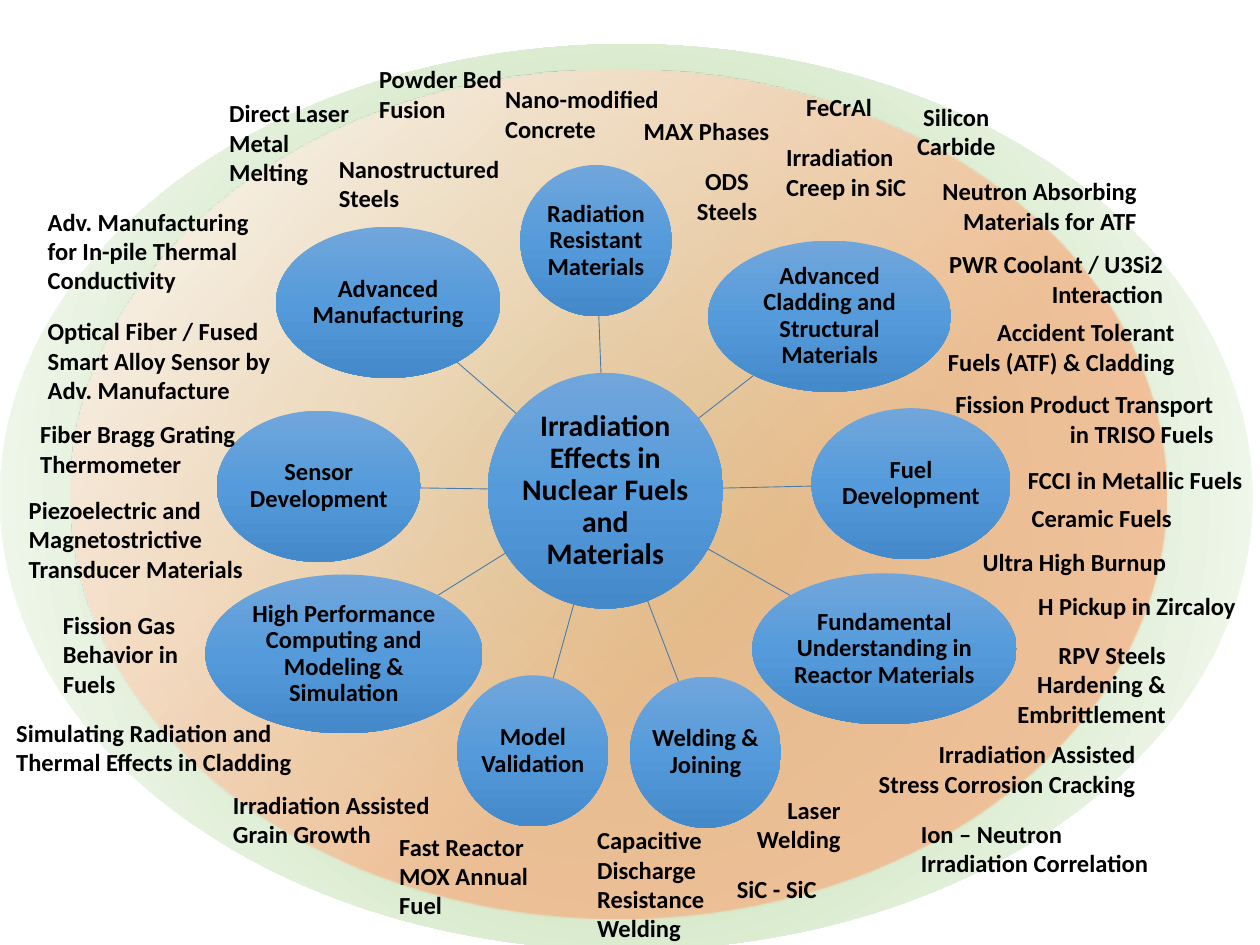
"""Build a hub-and-spoke slide of research areas with surrounding topics."""
from dataclasses import dataclass
from math import hypot

from lxml import etree
from pptx import Presentation, util as u
from pptx.dml import color
from pptx.enum import shapes, text
from pptx.oxml import ns

COLS, ROWS = 100, 75
ALIGN = {"l": text.PP_ALIGN.LEFT, "c": text.PP_ALIGN.CENTER, "r": text.PP_ALIGN.RIGHT}


@dataclass(frozen=True)
class Theme:
    """Colours, gradients and type sizes of the slide."""
    font: str = "Calibri"
    ink: str = "000000"
    spoke: str = "497CAB"
    spoke_width: float = 0.5
    hub_size: int = 17
    size: int = 14
    node: tuple = ((0, "71A6DB", 100), (50, "559BDB", 100), (100, "448ACA", 100))
    outer: tuple = ((0, "A9D18E", 100), (100, "FFFFFF", 100))
    inner: tuple = ((39, "F4B183", 73), (100, "FFFFFF", 73))


T = Theme()
SLIDE_W, SLIDE_H = u.Inches(10), u.Inches(7.5)
HUB = (38.7, 29.6, 18.7, 18.7, "Irradiation Effects in Nuclear Fuels and Materials")
NODES = [
    (64.4, 32.4, 15.8, 12, "Fuel Development"),
    (59.7, 45.5, 21, 12, "Fundamental Understanding in Reactor Materials"),
    (56.2, 19.1, 19.3, 12, "Advanced Cladding and Structural Materials"),
    (36.3, 53.6, 12, 12, "Model Validation"),
    (50, 53.7, 12, 12, "Welding & Joining"),
    (16.3, 45.6, 22, 12.6, "High Performance Computing and Modeling & Simulation"),
    (21.9, 18, 17.8, 12, "Advanced Manufacturing"),
    (17.2, 32.6, 16.2, 12, "Sensor Development"),
    (41.3, 13.1, 12, 12, "Radiation Resistant Materials"),
]
TOPICS = [
    (77, 42.9, 17.2, 1, "l", "Ultra High Burnup"),
    (74, 24.7, 20.2, 2, "r", "Accident Tolerant Fuels (ATF) & Cladding"),
    (74.7, 30.4, 22.6, 2, "r", "Fission Product Transport in TRISO Fuels"),
    (80.6, 36.4, 20.3, 1, "l", "FCCI in Metallic Fuels"),
    (80.9, 39.4, 17.3, 1, "l", "Ceramic Fuels"),
    (78.6, 50.3, 14.9, 3, "r", "RPV Steels Hardening & Embrittlement"),
    (53.2, 12.7, 9, 2, "c", "ODS Steels"),
    (50.1, 8.7, 12.1, 1, "l", "MAX Phases"),
    (71.7, 7.6, 8.4, 2, "c", "Silicon Carbide"),
    (17.5, 62.2, 20.1, 2, "l", "Irradiation Assisted Grain Growth"),
    (68.7, 58.2, 22.4, 2, "r", "Irradiation Assisted Stress Corrosion Cracking"),
    (81.4, 46.4, 18, 1, "l", "H Pickup in Zircaloy"),
    (57.5, 68.9, 8.6, 1, "l", "SiC - SiC"),
    (46.4, 65, 11.9, 4, "l", "Capacitive Discharge Resistance Welding"),
    (58.2, 62.6, 9.5, 2, "r", "Laser Welding"),
    (4, 47.9, 13.5, 3, "l", "Fission Gas Behavior in Fuels"),
    (72.1, 64.5, 21.4, 2, "l", "Ion – Neutron Irradiation Correlation"),
    (30.7, 65.5, 13.5, 3, "l", "Fast Reactor MOX Annual Fuel"),
    (0.3, 56.5, 25.1, 2, "l", "Simulating Radiation and Thermal Effects in Cladding"),
    (61.4, 10.8, 13.2, 2, "l", "Irradiation Creep in SiC"),
    (39.1, 6.2, 15.2, 2, "l", "Nano-modified Concrete"),
    (1.3, 38.8, 19.7, 3, "l", "Piezoelectric and Magnetostrictive Transducer Materials"),
    (2.2, 32.8, 17.9, 2, "l", "Fiber Bragg Grating Thermometer"),
    (2.8, 15.9, 18.8, 3, "l", "Adv. Manufacturing for In-pile Thermal Conductivity"),
    (2.8, 24.6, 20.9, 3, "l", "Optical Fiber / Fused Smart Alloy Sensor by Adv. Manufacture"),
    (25.9, 11.7, 14.8, 2, "l", "Nanostructured Steels"),
    (29.1, 4.6, 11.8, 2, "l", "Powder Bed Fusion"),
    (17.2, 7.3, 13.2, 3, "l", "Direct Laser Metal Melting"),
    (63, 6.8, 7.3, 1, "l", "FeCrAl"),
    (73.9, 19.3, 19.4, 2, "r", "PWR Coolant / U3Si2 Interaction"),
    (72.8, 13.5, 18.4, 2, "r", "Neutron Absorbing Materials for ATF"),
]


def grid(x, y):
    """Turn a column and a row into slide lengths."""
    return int(SLIDE_W * x / COLS), int(SLIDE_H * y / ROWS)


def put(obj, **values):
    """Set each named value on an object."""
    for name, value in values.items():
        setattr(obj, name, value)


def write(tf, words, size, align, frame, spacing=None):
    """Write one bold paragraph into a text frame."""
    put(tf, word_wrap=True, **frame)
    p = tf.paragraphs[0]
    put(p, alignment=ALIGN[align], line_spacing=spacing)
    r = p.add_run()
    r.text = words
    put(r.font, name=T.font, size=u.Pt(size), bold=True)
    r.font.color.rgb = color.RGBColor.from_string(T.ink)


def gradient(sp, stops, focus=None):
    """Fill a shape downwards, or outwards from a focus rectangle."""
    sp.fill.gradient()
    grad = sp._element.spPr.find(ns.qn("a:gradFill"))
    for child in list(grad):
        grad.remove(child)

    def sub(parent, tag, **attrs):
        return etree.SubElement(parent, ns.qn(tag), {k: str(v) for k, v in attrs.items()})

    gs_list = sub(grad, "a:gsLst")
    for pos, rgb, alpha in stops:
        clr = sub(sub(gs_list, "a:gs", pos=pos * 1000), "a:srgbClr", val=rgb)
        if alpha < 100:
            sub(clr, "a:alpha", val=alpha * 1000)
    if focus:
        edges = {k: v * 1000 for k, v in zip("ltrb", focus)}
        sub(sub(grad, "a:path", path="circle"), "a:fillToRect", **edges)
    else:
        sub(grad, "a:lin", ang=90 * 60000, scaled=0)


def ellipse(s, x, y, w, h, stops, focus=None):
    """Add a gradient ellipse without an outline."""
    sp = s.shapes.add_shape(shapes.MSO_SHAPE.OVAL, *grid(x, y), *grid(w, h))
    sp.shadow.inherit = False
    sp.line.fill.background()
    gradient(sp, stops, focus)
    return sp


def node(s, x, y, w, h, words, size=T.size):
    """Add a labelled ellipse."""
    sp = ellipse(s, x, y, w, h, T.node)
    frame = {f"margin_{side}": 0 for side in ("left", "top", "right", "bottom")}
    frame["vertical_anchor"] = text.MSO_ANCHOR.MIDDLE
    write(sp.text_frame, words, size, "c", frame, 0.9)


def spoke(s, hub, area):
    """Join the rims of two ellipses along the line between their centres."""
    (hx, hy, hw, hh), (ax, ay, aw, ah) = hub[:4], area[:4]
    x0, y0, x1, y1 = hx + hw / 2, hy + hh / 2, ax + aw / 2, ay + ah / 2
    dx, dy = x1 - x0, y1 - y0
    a = 1 / hypot(2 * dx / hw, 2 * dy / hh)
    b = 1 / hypot(2 * dx / aw, 2 * dy / ah)
    ends = grid(x0 + a * dx, y0 + a * dy) + grid(x1 - b * dx, y1 - b * dy)
    line = s.shapes.add_connector(shapes.MSO_CONNECTOR.STRAIGHT, *ends)
    line.line.color.rgb = color.RGBColor.from_string(T.spoke)
    line.line.width = u.Pt(T.spoke_width)
    etree.SubElement(line._element.spPr, ns.qn("a:effectLst"))


def topic(s, x, y, w, lines, align, words):
    """Add a topic label whose height follows its number of lines."""
    sp = s.shapes.add_textbox(*grid(x, y), *grid(w, 1.03 + 2.34 * lines))
    write(sp.text_frame, words, T.size, align, {"auto_size": text.MSO_AUTO_SIZE.SHAPE_TO_FIT_TEXT})


def main():
    """Build and save the slide."""
    prs = Presentation()
    put(prs, slide_width=SLIDE_W, slide_height=SLIDE_H)
    s = prs.slides.add_slide(prs.slide_layouts[6])
    ellipse(s, 0, 3.5, 99.4, 71.9, T.outer, (50, 50, 50, 50))
    ellipse(s, 5.6, 5.5, 87, 67.4, T.inner, (100, 100, 0, 0))
    node(s, *HUB, size=T.hub_size)
    for area in NODES:
        spoke(s, HUB, area)
        node(s, *area)
    for label in TOPICS:
        topic(s, *label)
    prs.save("out.pptx")


if __name__ == "__main__":
    main()
